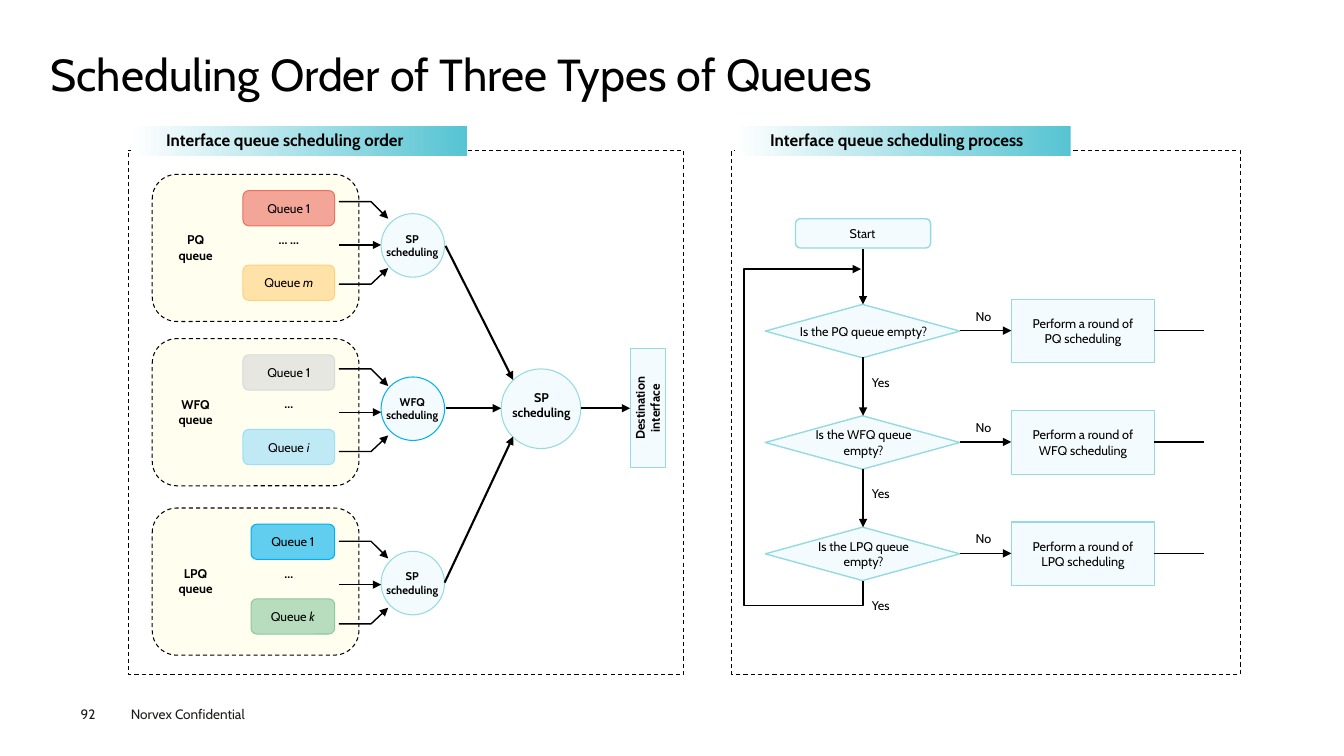
"""Build the slide on the scheduling order of three types of queues."""
import dataclasses
import typing

import lxml.etree
import pptx
import pptx.dml.color
import pptx.enum.dml
import pptx.enum.shapes
import pptx.enum.text
import pptx.oxml.ns
import pptx.util

Inches = pptx.util.Inches
RGBColor = pptx.dml.color.RGBColor
Shapes = pptx.enum.shapes.MSO_SHAPE
Align = pptx.enum.text.PP_ALIGN
qn = pptx.oxml.ns.qn

FONT = "Cabin"
BLACK = RGBColor(0x00, 0x00, 0x00)
WHITE = RGBColor(0xFF, 0xFF, 0xFF)
INK = RGBColor(0x1D, 0x1D, 0x1B)
CREAM = RGBColor(0xFF, 0xFE, 0xEF)
ICE = RGBColor(0xF4, 0xFB, 0xFE)
AQUA = RGBColor(0x94, 0xDA, 0xE2)
TEAL = RGBColor(0x56, 0xC4, 0xD2)
BLUE = RGBColor(0x00, 0xB0, 0xF0)
RED = RGBColor(0xEC, 0x70, 0x61)
AMBER = RGBColor(0xFF, 0xD1, 0x7D)
GREY = RGBColor(0xD9, 0xD9, 0xD9)
SKY = RGBColor(0x99, 0xDF, 0xF9)
GREEN = RGBColor(0x8B, 0xC9, 0xA0)

Point = tuple[float, float]
Frame = tuple[float, float, float, float]


@dataclasses.dataclass(frozen=True)
class Panel:
    title: str
    left: float
    width: float


@dataclasses.dataclass(frozen=True)
class QueueGroup:
    name: str
    top: float
    queue_left: float
    dots: str
    last: str
    first_color: RGBColor
    last_color: RGBColor
    arrow_top: float
    circle_top: float
    scheduler: str
    circle_line: RGBColor


PANELS = [
    Panel("Interface queue scheduling order", 1.27, 5.51),
    Panel("Interface queue scheduling process", 7.26, 5.04),
]
GROUPS = [
    QueueGroup("PQ", 1.73, 2.41, "… …", "m", RED, AMBER, 2.0, 2.12, "SP", AQUA),
    QueueGroup("WFQ", 3.36, 2.41, "…", "i", GREY, SKY, 3.66, 3.74, "WFQ", BLUE),
    QueueGroup("LPQ", 5.04, 2.49, "…", "k", BLUE, GREEN, 5.37, 5.47, "SP", AQUA),
]
MERGE_ARROWS = [
    ((4.42, 2.44), (5.09, 3.77)),
    ((4.42, 4.05), (4.97, 4.05)),
    ((4.41, 5.78), (5.09, 4.33)),
    ((5.76, 4.05), (6.25, 4.05)),
]
STEP = 1.105


def write(shape: typing.Any, text: str, size: float = 9, bold: bool = False,
          italic_end: str = "", align: Align = Align.CENTER, wrap: bool = True,
          insets: Point = (0.04, 0.04), color: RGBColor = BLACK) -> None:
    frame = shape.text_frame
    frame.text = text
    frame.word_wrap = wrap
    frame.auto_size = pptx.enum.text.MSO_AUTO_SIZE.NONE
    frame.vertical_anchor = pptx.enum.text.MSO_ANCHOR.MIDDLE
    frame.margin_left = frame.margin_right = Inches(insets[0])
    frame.margin_top = frame.margin_bottom = Inches(insets[1])
    if italic_end:
        span = frame.paragraphs[-1].add_run()
        span.text = italic_end
        span.font.italic = True
    for para in frame.paragraphs:
        para.alignment = align
        for span in para.runs:
            span.font.name = FONT
            span.font.size = pptx.util.Pt(size)
            span.font.bold = bold
            span.font.color.rgb = color


def add_label(page: typing.Any, frame: Frame, text: str, **style: typing.Any) -> typing.Any:
    box = page.shapes.add_textbox(*map(Inches, frame))
    write(box, text, **style)
    return box


def add_figure(page: typing.Any, kind: Shapes, frame: Frame, fill: RGBColor, line: RGBColor,
               weight: float = 0.75, dashed: bool = False) -> typing.Any:
    shape = page.shapes.add_shape(kind, *map(Inches, frame))
    shape.shadow.inherit = False
    shape.fill.solid()
    shape.fill.fore_color.rgb = fill
    shape.line.color.rgb = line
    shape.line.width = pptx.util.Pt(weight)
    if dashed:
        shape.line.dash_style = pptx.enum.dml.MSO_LINE.DASH
    return shape


def style_line(shape: typing.Any, weight: float, arrow: bool) -> None:
    shape.line.color.rgb = BLACK
    shape.line.width = pptx.util.Pt(weight)
    if arrow:
        outline = shape.element.spPr.find(qn("a:ln"))
        lxml.etree.SubElement(outline, qn("a:tailEnd"), type="triangle")


def add_line(page: typing.Any, start: Point, end: Point, weight: float = 1, arrow: bool = True) -> None:
    line = page.shapes.add_connector(
        pptx.enum.shapes.MSO_CONNECTOR.STRAIGHT, *map(Inches, start + end))
    style_line(line, weight, arrow)
    lxml.etree.SubElement(line.element.spPr, qn("a:effectLst"))


def add_bent_arrow(page: typing.Any, points: list[Point]) -> None:
    corners = [(Inches(x), Inches(y)) for x, y in points]
    builder = page.shapes.build_freeform(*corners[0])
    builder.add_line_segments(corners[1:], close=False)
    shape = builder.convert_to_shape()
    shape.shadow.inherit = False
    shape.fill.background()
    style_line(shape, 1, True)


def add_panel(page: typing.Any, panel: Panel) -> None:
    add_figure(page, Shapes.RECTANGLE, (panel.left, 1.49, panel.width, 5.2), WHITE, BLACK, dashed=True)
    banner = page.shapes.add_shape(
        Shapes.FLOWCHART_PROCESS, *map(Inches, (panel.left + 0.03, 1.25, 3.33, 0.3)))
    banner.shadow.inherit = False
    banner.line.fill.background()
    banner.fill.gradient()
    banner.fill.gradient_angle = 180
    for stop, color in zip(banner.fill.gradient_stops, (TEAL, WHITE)):
        stop.color.rgb = color
    add_label(page, (panel.left + 0.28, 1.24, 3.06, 0.3), panel.title,
              size=12, bold=True, align=Align.LEFT, insets=(0.1, 0.05))


def add_queue_group(page: typing.Any, group: QueueGroup) -> None:
    top, arrow = group.top, group.arrow_top
    add_figure(page, Shapes.ROUNDED_RECTANGLE, (1.51, top, 2.05, 1.46), CREAM, BLACK, dashed=True)
    add_label(page, (1.48, top + 0.43, 0.92, 0.59), f"{group.name}\nqueue", bold=True)
    queues = [(0.16, group.first_color, "Queue 1", ""), (0.9, group.last_color, "Queue ", group.last)]
    for offset, color, text, letter in queues:
        box = add_figure(page, Shapes.ROUNDED_RECTANGLE,
                         (group.queue_left, top + offset, 3.32 - group.queue_left, 0.35), color, color)
        tint = box.element.spPr.find(qn("a:solidFill"))[0]
        lxml.etree.SubElement(tint, qn("a:alpha"), val="62000")
        write(box, text, italic_end=letter)
    add_label(page, (2.53, top + 0.35, 0.67, 0.59), group.dots, bold=True)
    add_figure(page, Shapes.FLOWCHART_CONNECTOR, (3.78, group.circle_top, 0.63, 0.63), ICE, group.circle_line)
    add_label(page, (3.76, group.circle_top + 0.14, 0.66, 0.35), f"{group.scheduler}\nscheduling",
              size=8, bold=True, wrap=False)
    for start, end in ((arrow, arrow + 0.17), (arrow + 0.82, arrow + 0.66)):
        add_bent_arrow(page, [(3.36, start), (3.68, start), (3.85, end)])
    add_line(page, (3.36, arrow + 0.43), (3.78, arrow + 0.43))


def add_decision(page: typing.Any, index: int, name: str) -> None:
    top = 3.02 + STEP * index
    middle = top + 0.26
    add_figure(page, Shapes.FLOWCHART_DECISION, (7.59, top, 1.93, 0.53), ICE, AQUA, 1)
    add_label(page, (7.88, top + 0.02, 1.37, 0.49), f"Is the {name} queue empty?")
    add_figure(page, Shapes.RECTANGLE, (10.03, top - 0.05, 1.42, 0.63), ICE, AQUA, 1)
    add_label(page, (10.07, top + 0.02, 1.34, 0.49), f"Perform a round of\n{name} scheduling")
    add_line(page, (8.56, 2.47 if index == 0 else top - 0.58), (8.56, top))
    add_line(page, (9.52, middle), (10.03, middle))
    add_line(page, (11.45, middle), (11.94, middle), arrow=False)
    add_label(page, (8.42, top + 0.56, 0.63, 0.43), "Yes")
    add_label(page, (9.44, top - 0.1, 0.63, 0.43), "No")


def main() -> None:
    deck = pptx.Presentation()
    deck.slide_width, deck.slide_height = Inches(13.33), Inches(7.5)
    page = deck.slides.add_slide(deck.slide_layouts[5])
    title = page.shapes.title
    title.left, title.top, title.width, title.height = map(Inches, (0.5, 0.49, 12.35, 0.54))
    write(title, "Scheduling Order of Three Types of Queues", size=32, align=Align.LEFT, insets=(0, 0))
    title.text_frame.paragraphs[0].line_spacing = 0.9
    add_label(page, (1.2, 6.95, 1.6, 0.27), "Norvex Confidential",
              size=9.7, align=Align.LEFT, insets=(0.1, 0.05), color=INK)
    add_label(page, (0.8, 7, 0.55, 0.16), "92", size=9.7, align=Align.LEFT, insets=(0, 0), color=INK)
    for panel in PANELS:
        add_panel(page, panel)
    for group in GROUPS:
        add_queue_group(page, group)
    add_figure(page, Shapes.FLOWCHART_CONNECTOR, (4.97, 3.66, 0.79, 0.79), ICE, AQUA)
    add_label(page, (5, 3.83, 0.74, 0.38), "SP\nscheduling", bold=True, wrap=False)
    add_figure(page, Shapes.RECTANGLE, (6.25, 3.46, 0.35, 1.18), ICE, AQUA)
    target = add_label(page, (6.03, 3.86, 0.78, 0.38), "Destination\ninterface", bold=True, wrap=False)
    target.rotation = 270
    for start, end in MERGE_ARROWS:
        add_line(page, start, end, 1.5)
    add_figure(page, Shapes.ROUNDED_RECTANGLE, (7.89, 2.17, 1.34, 0.29), ICE, AQUA, 1)
    add_label(page, (8.22, 2.14, 0.67, 0.35), "Start")
    for index, group in enumerate(GROUPS):
        add_decision(page, index, group.name)
    add_bent_arrow(page, [(8.56, 5.76), (8.56, 6.01), (7.38, 6.01), (7.38, 2.67), (8.54, 2.67)])
    deck.save("out.pptx")


if __name__ == "__main__":
    main()
